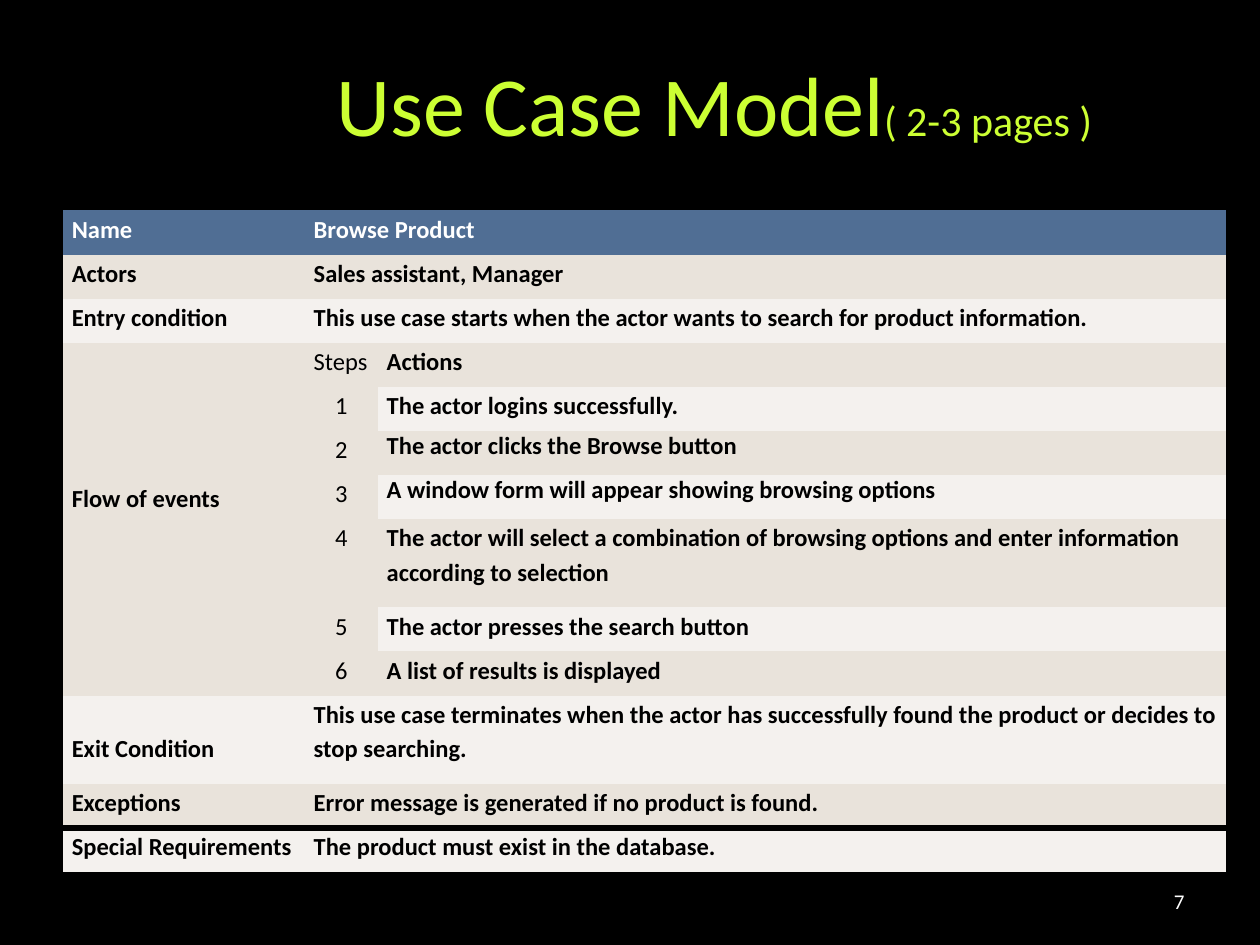
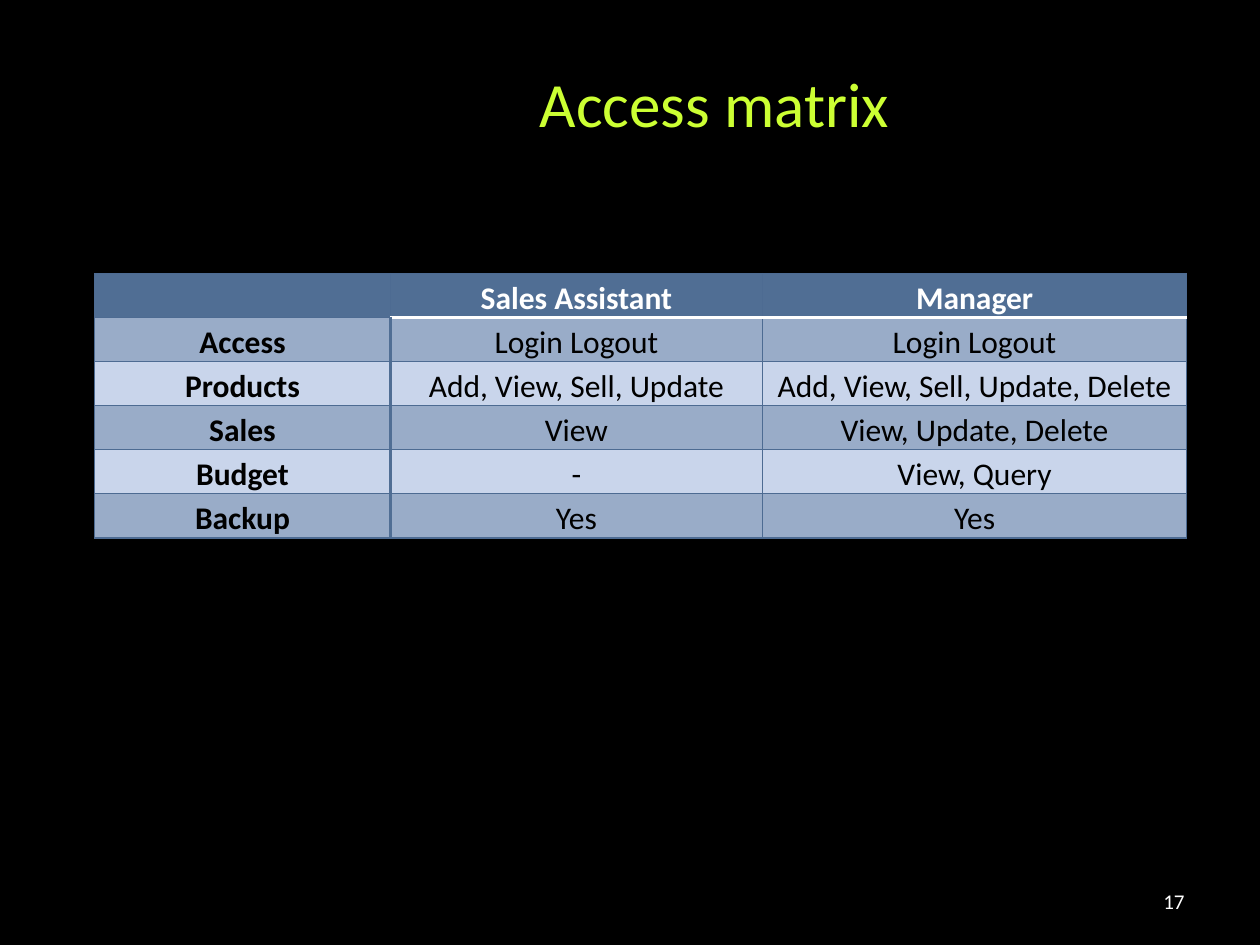
import pptx
import pptx.util
import pptx.dml.color
import pptx.enum.text
import pptx.oxml.ns
import lxml.etree

Inches = pptx.util.Inches
Pt = pptx.util.Pt
Align = pptx.enum.text.PP_ALIGN
Anchor = pptx.enum.text.MSO_ANCHOR
qn = pptx.oxml.ns.qn

HUES = {
    "black": "000000", "white": "FFFFFF", "lime": "CCFF33", "head": "506E94",
    "sand": "E9E3DB", "pale": "F4F1EE", "steel": "99ACC8", "sky": "C9D5EB",
    "grid": "4D6B92",
}
PLAIN = "{2D5ABB26-0587-4C30-8999-92F81FD0307C}"
ROW = 0.35


class Deck:
    font = "Calibri"

    def __init__(self):
        self.prs = pptx.Presentation()
        self.prs.slide_width = Inches(10)
        self.prs.slide_height = Inches(7.5)
        self.paint(self.prs.slide_master.background.fill, "black")

    def hue(self, name):
        return pptx.dml.color.RGBColor.from_string(HUES[name])

    def paint(self, fill, name):
        fill.solid()
        fill.fore_color.rgb = self.hue(name)

    def label(self, par, text, size, hue, bold=False):
        run = par.add_run()
        run.text = text
        run.font.name = self.font
        run.font.size = Pt(size)
        run.font.bold = bold
        run.font.color.rgb = self.hue(hue)

    def page(self, title, number):
        self.slide = self.prs.slides.add_slide(self.prs.slide_layouts[5])
        head = self.slide.shapes.title
        head.left, head.top = Inches(1.67), Inches(0.3)
        head.width, head.height = Inches(8), Inches(1.03)
        head.text_frame.vertical_anchor = Anchor.MIDDLE
        par = head.text_frame.paragraphs[0]
        par.alignment = Align.CENTER
        for text, size in title:
            self.label(par, text, size, "lime")
        box = self.slide.shapes.add_textbox(Inches(7.17), Inches(6.95), Inches(2.33), Inches(0.4))
        box.text_frame.word_wrap = True
        box.text_frame.vertical_anchor = Anchor.MIDDLE
        par = box.text_frame.paragraphs[0]
        par.alignment = Align.RIGHT
        self.label(par, number, 12, "white")

    def table(self, left, top, cols, rows):
        frame = self.slide.shapes.add_table(
            len(rows), len(cols), Inches(left), Inches(top), Inches(sum(cols)), Inches(sum(rows)))
        table = frame.table
        table.first_row = table.horz_banding = False
        table._tbl.tblPr.find(qn("a:tableStyleId")).text = PLAIN
        for col, width in zip(table.columns, cols):
            col.width = Inches(width)
        for row, height in zip(table.rows, rows):
            row.height = Inches(height)
        return table

    def cell(self, cell, text, fill, size, hue="black", bold=False,
             align=Align.LEFT, space=1.15, drop=0):
        cell.margin_left = cell.margin_right = Inches(0.07)
        cell.margin_top, cell.margin_bottom = Inches(drop), 0
        self.paint(cell.fill, fill)
        par = cell.text_frame.paragraphs[0]
        par.alignment = align
        par.line_spacing = space
        if text:
            self.label(par, text, size, hue, bold)

    def edge(self, cell, sides):
        props = cell._tc.get_or_add_tcPr()
        for spot, side in enumerate(s for s in "LRTB" if s in sides):
            name, width = sides[side]
            line = lxml.etree.Element(qn("a:ln" + side), w=str(Pt(width)))
            solid = lxml.etree.SubElement(line, qn("a:solidFill"))
            lxml.etree.SubElement(solid, qn("a:srgbClr"), val=HUES[name])
            props.insert(spot, line)


def use_case(deck):
    deck.page([("Use Case Model", 48), ("( 2-3 pages )", 24)], "7")
    steps = [
        "Actions",
        "The actor logins successfully.",
        "The actor clicks the Browse button",
        "A window form will appear showing browsing options",
        "The actor will select a combination of browsing options and enter information "
        "according to selection",
        "The actor presses the search button",
        "A list of results is displayed",
    ]
    facts = {
        0: ("Name", "Browse Product"),
        1: ("Actors", "Sales assistant, Manager"),
        2: ("Entry condition",
            "This use case starts when the actor wants to search for product information."),
        10: ("Exit Condition",
             "This use case terminates when the actor has successfully found the product "
             "or decides to stop searching."),
        11: ("Exceptions", "Error message is generated if no product is found."),
        12: ("Special Requirements", "The product must exist in the database."),
    }
    first, tall = 3, (7, 10)
    rows = [ROW * 2 if i in tall else ROW for i in range(13)]
    table = deck.table(0.5, 1.67, [1.92, 0.58, 6.73], rows)
    bands = ["pale", "sand"]

    for i, (name, text) in facts.items():
        fill, hue = (bands[i % 2], "black") if i else ("head", "white")
        table.cell(i, 1).merge(table.cell(i, 2))
        drop = 0.27 if i in tall else 0
        deck.cell(table.cell(i, 0), name, fill, 14, hue, True, drop=drop)
        deck.cell(table.cell(i, 1), text, fill, 14, hue, True)

    table.cell(first, 0).merge(table.cell(first + len(steps) - 1, 0))
    deck.cell(table.cell(first, 0), "Flow of events", "sand", 14, bold=True, drop=1.09)
    for i, text in enumerate(steps):
        mark, align = (str(i), Align.CENTER) if i else ("Steps", Align.LEFT)
        deck.cell(table.cell(first + i, 1), mark, "sand", 14, align=align)
        side, space = (Align.JUSTIFY, 1.0) if i in (2, 3) else (Align.LEFT, 1.15)
        deck.cell(table.cell(first + i, 2), text, bands[(i + 1) % 2], 14,
                  bold=True, align=side, space=space)
    for col in range(3):
        deck.edge(table.cell(12, col), {"T": ("black", 4)})


def access(deck):
    deck.page([("Access matrix", 36)], "17")
    grid = [
        ("", "Sales Assistant", "Manager"),
        ("Access", "Login Logout", "Login Logout"),
        ("Products", "Add, View, Sell, Update", "Add, View, Sell, Update, Delete"),
        ("Sales", "View", "View, Update, Delete"),
        ("Budget", "-", "View, Query"),
        ("Backup", "Yes", "Yes"),
    ]
    table = deck.table(0.75, 2.17, [2.35, 2.95, 3.37], [ROW] * len(grid))
    for i, row in enumerate(grid):
        for j, text in enumerate(row):
            cell = table.cell(i, j)
            fill, hue = (["sky", "steel"][i % 2], "black") if i else ("head", "white")
            deck.cell(cell, text, fill, 18, hue, i == 0 or j == 0, Align.CENTER)
            sides = dict.fromkeys("LRTB", ("grid", 0.75))
            if i and j < 2:
                sides["L" if j else "R"] = ("head", 2)
            if j and i < 2:
                sides["T" if i else "B"] = ("white", 2)
            deck.edge(cell, sides)


def main():
    deck = Deck()
    use_case(deck)
    access(deck)
    deck.prs.save("out.pptx")


if __name__ == "__main__":
    main()
